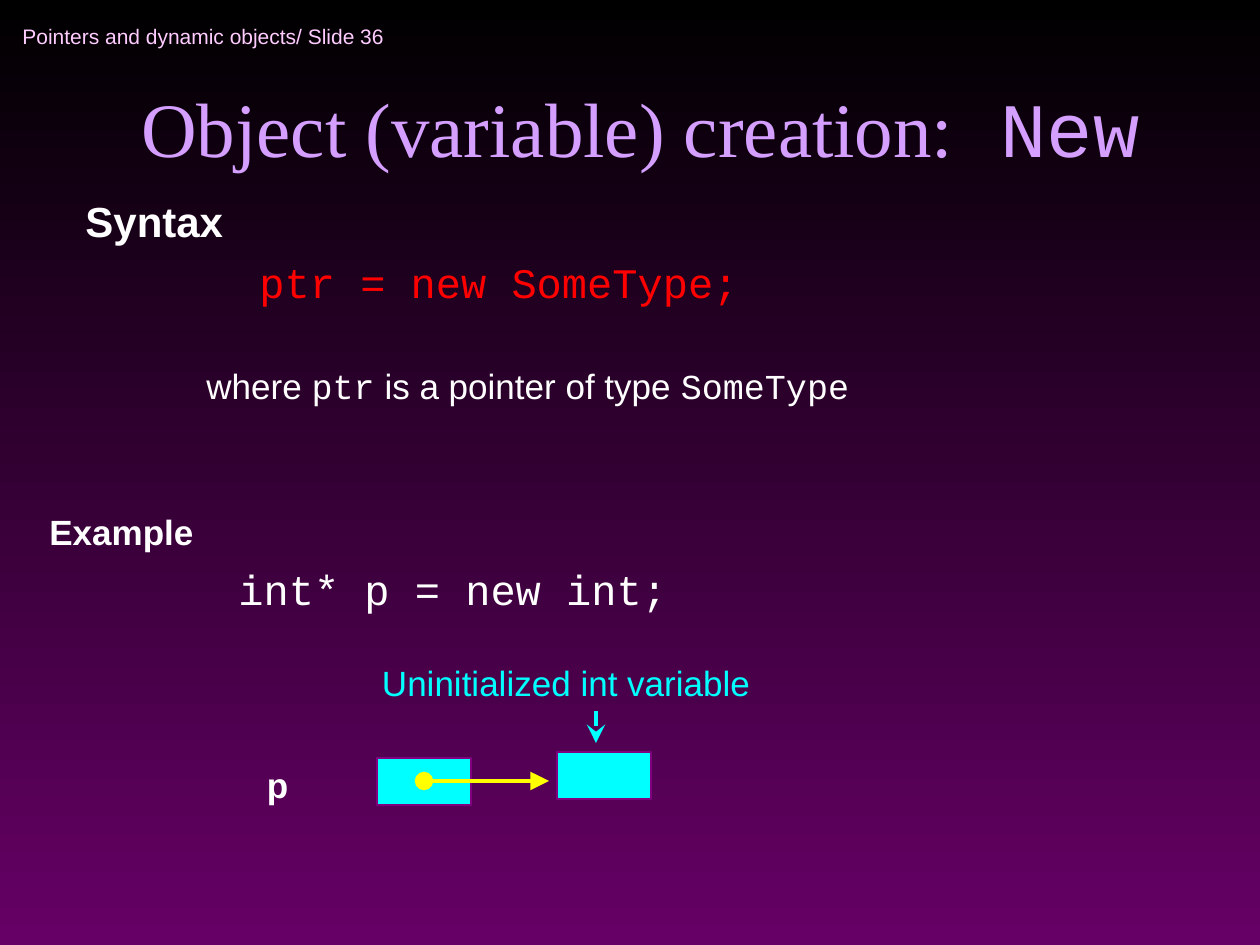
import pptx
import pptx.util
import pptx.dml.color
import pptx.enum.shapes
import pptx.enum.text
import pptx.oxml
import pptx.oxml.ns

PX = 914400 // 126
WHITE, CYAN, YELLOW = "FFFFFF", "00FFFF", "FFFF00"
RED, PURPLE, LILAC, PINK = "FF0000", "800080", "D49FFF", "FFCCFF"
SANS, SERIF, MONO = "Arial", "Times New Roman", "Courier New"
ANCHOR = pptx.enum.text.MSO_ANCHOR
ALIGN = pptx.enum.text.PP_ALIGN


def px(length):
    return pptx.util.Emu(length * PX)


def color(value):
    return pptx.dml.color.RGBColor.from_string(value)


def apply(target, values):
    for name, value in values.items():
        setattr(target, name, value)


def add_text(page, box, paras, inset=True, anchor=ANCHOR.TOP):
    """Each para is (format values, spans); a span is (text, font, size, colour, bold)."""
    frame = page.shapes.add_textbox(*map(px, box)).text_frame
    apply(frame, {"word_wrap": True, "vertical_anchor": anchor})
    if not inset:
        apply(frame, {"margin_" + side: 0 for side in ("left", "top", "right", "bottom")})
    for index, (values, spans) in enumerate(paras):
        para = frame.add_paragraph() if index else frame.paragraphs[0]
        values = dict(values)
        indent = values.pop("indent", 0)
        if indent:
            para._p.get_or_add_pPr().set("marL", str(px(indent)))
        apply(para, values)
        for text, face, size, tint, bold in spans:
            span = para.add_run()
            span.text = text
            apply(span.font, {"name": face, "size": pptx.util.Pt(size), "bold": bold})
            span.font.color.rgb = color(tint)


def space(points):
    return {"space_before": pptx.util.Pt(points)}


def add_cell(page, box):
    cell = page.shapes.add_shape(pptx.enum.shapes.MSO_SHAPE.RECTANGLE, *map(px, box))
    cell.shadow.inherit = False
    cell.fill.solid()
    cell.fill.fore_color.rgb = color(CYAN)
    cell.line.color.rgb = color(PURPLE)
    cell.line.width = pptx.util.Pt(1.25)


def add_arrow(page, start, end, tint, ends):
    arrow = page.shapes.add_connector(
        pptx.enum.shapes.MSO_CONNECTOR.STRAIGHT, *map(px, start + end))
    arrow.line.color.rgb = color(tint)
    arrow.line.width = pptx.util.Pt(2.13)
    line = arrow.line._get_or_add_ln()
    for tag, kind in ends.items():
        mark = pptx.oxml.ns.qn("a:" + tag)
        end_mark = line.makeelement(mark, {"type": kind, "w": "lg", "len": "lg"})
        line.append(end_mark)
    properties = arrow._element.spPr
    properties.append(properties.makeelement(pptx.oxml.ns.qn("a:effectLst"), {}))


def paint_background(page):
    fill = page.background.fill
    fill.gradient()
    fill.gradient_angle = 270
    for stop, (place, tint) in zip(fill.gradient_stops, ((0, "000000"), (1, "660066"))):
        stop.position = place
        stop.color.rgb = color(tint)


def header(page, box):
    left, top, width, height = box
    # Running header
    add_text(page, (left, top, 400, 53),
             [({}, [("Pointers and dynamic objects/ Slide 36", SANS, 12, PINK, False)])],
             anchor=ANCHOR.MIDDLE)
    # Title
    add_text(page, (left + 74, top + 22, width - 74, height - 22),
             [({"alignment": ALIGN.CENTER},
               [("Object (variable) creation:", SERIF, 44, LILAC, False),
                (" New", MONO, 44, LILAC, False)])],
             anchor=ANCHOR.BOTTOM)


def syntax(page, box):
    add_text(page, box, [
        (space(6), [("Syntax", SANS, 24, WHITE, True)]),
        ({"indent": 174, **space(6)}, [("ptr = new SomeType;", MONO, 24, RED, False)]),
        ({"indent": 121, **space(33)},
         [("where ", SANS, 20, WHITE, False),
          ("ptr", MONO, 20, WHITE, False),
          (" is a pointer of type ", SANS, 20, WHITE, False),
          ("SomeType", MONO, 20, WHITE, False)]),
    ])


def example(page, box):
    left, top, width, height = box
    add_text(page, (left, top, 263, 55),
             [(space(5), [("Example", SANS, 20, WHITE, True)])])
    add_text(page, (left + 189, top + 53, 548, 63),
             [(space(6), [("int* p = new int;", MONO, 24, WHITE, False)])])


def memory_diagram(page, box):
    left, top, width, height = box
    cell_width, cell_height = 94, 47
    pointer = (left + 110, top + 97)
    target = (left + 290, top + 91)
    # Pointer and the variable it points to
    for corner in (pointer, target):
        add_cell(page, corner + (cell_width, cell_height))
    center = (pointer[0] + cell_width // 2, pointer[1] + cell_height // 2)
    add_arrow(page, center, (target[0] - 8, center[1]), YELLOW,
              {"headEnd": "oval", "tailEnd": "triangle"})
    # Labels
    add_text(page, (left, top + 102, 100, 42),
             [(space(5), [("p", SANS, 20, WHITE, True)])], inset=False)
    add_text(page, (left + 115, top, width - 115, 42),
             [(space(5), [("Uninitialized int variable", SANS, 20, CYAN, False)])],
             inset=False)
    add_arrow(page, (left + 329, top + 50), (left + 329, top + 82), CYAN,
              {"tailEnd": "stealth"})


def main():
    deck = pptx.Presentation()
    apply(deck, {"slide_width": px(1260), "slide_height": px(945)})
    page = deck.slides.add_slide(deck.slide_layouts[6])
    paint_background(page)
    header(page, (10, 10, 1187, 169))
    syntax(page, (73, 189, 1081, 240))
    example(page, (37, 504, 737, 116))
    memory_diagram(page, (267, 661, 579, 145))
    deck.save("out.pptx")


if __name__ == "__main__":
    main()
